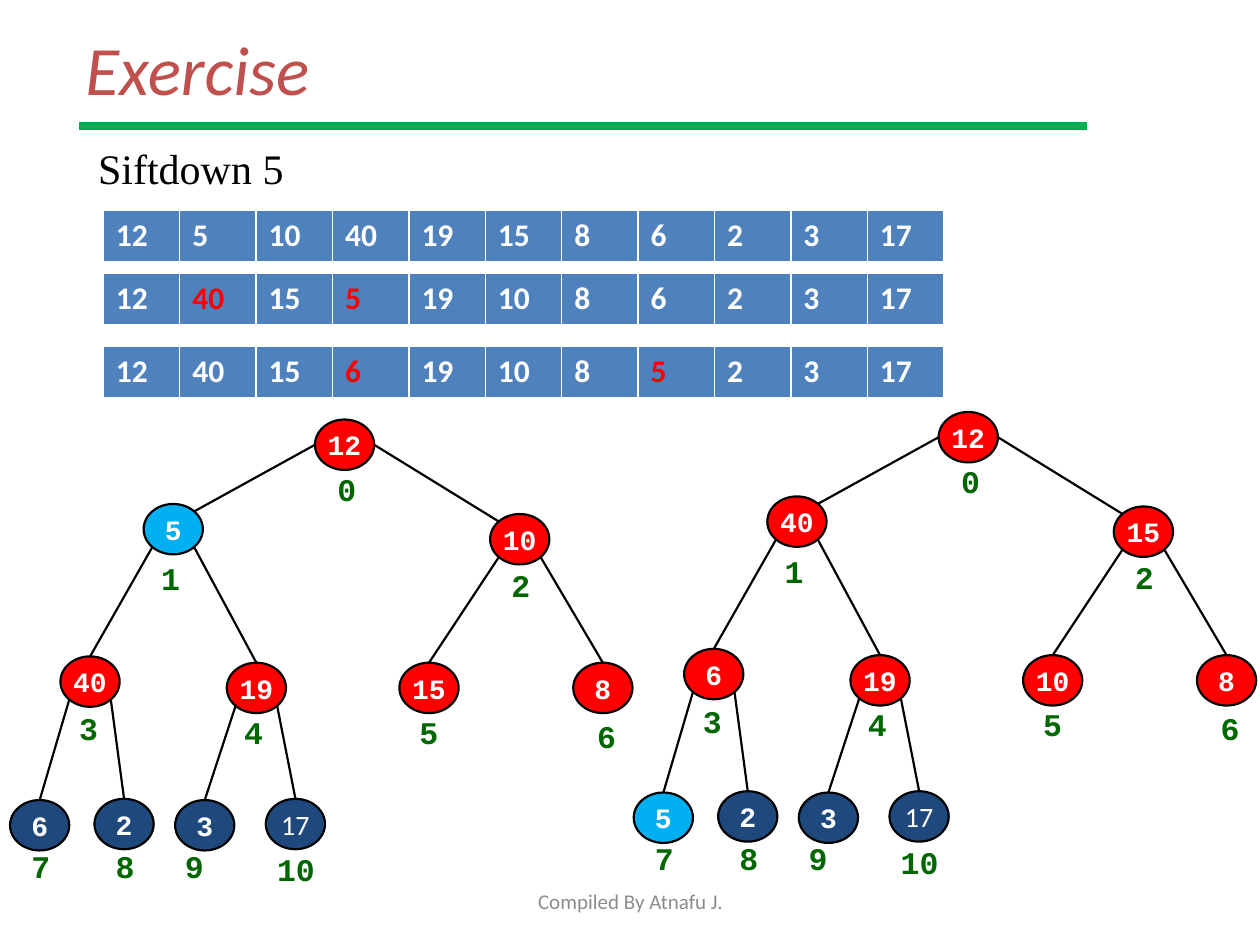
import pptx
import pptx.util
import pptx.dml.color
import pptx.enum.shapes
import pptx.enum.text
import pptx.oxml.ns
from lxml import etree

THEME = {
    "title": "C0504D", "rule": "00B050", "ink": "000000", "foot": "8C8C8C",
    "red": "FF0000", "blue": "00B0F0", "navy": "1F497D", "cell": "4F81BD",
    "white": "FFFFFF", "index": "006600",
    "sans": "Calibri", "serif": "Times New Roman", "mono": "Courier New",
    "head": 39.6, "body": 24, "label": 18, "node": 16, "small": 12,
}

# Each array: top, values, positions shown in red
ARRAYS = [
    (1.67, [12, 5, 10, 40, 19, 15, 8, 6, 2, 3, 17], ()),
    (2.17, [12, 40, 15, 5, 19, 10, 8, 6, 2, 3, 17], (1, 3)),
    (2.75, [12, 40, 15, 6, 19, 10, 8, 5, 2, 3, 17], (3, 7)),
]
# Each tree: shift right, shift down, array it shows, node being sifted
TREES = [(0, 0, 0, 1), (4.95, -0.06, 2, 7)]

# Left and top of each node and of its index label, in heap order
NODES = [(2.5, 3.33), (1.14, 4), (3.89, 4.08), (0.48, 5.21), (1.8, 5.26),
         (3.17, 5.26), (4.55, 5.26), (0.08, 6.35), (0.75, 6.34),
         (1.39, 6.35), (2.11, 6.34)]
LABELS = [(2.58, 3.68), (1.18, 4.39), (3.96, 4.44), (0.53, 5.58),
          (1.84, 5.61), (3.23, 5.61), (4.64, 5.64), (0.15, 6.67),
          (0.82, 6.67), (1.37, 6.67), (2.1, 6.7)]
NODE_W, NODE_H = 0.47, 0.4
LEAF = 7          # first index of the lowest level
NEAR = 0.15       # share of a node's box where its diagonal points lie

inch, pt = pptx.util.Inches, pptx.util.Pt
align = pptx.enum.text.PP_ALIGN
anchor = pptx.enum.text.MSO_ANCHOR

deck = pptx.Presentation()
deck.slide_width, deck.slide_height = inch(10), inch(7.5)
slide = deck.slides.add_slide(deck.slide_layouts[6])
shapes = slide.shapes


def color(name):
    return pptx.dml.color.RGBColor.from_string(THEME[name])


def write(frame, words, size, face, tint, bold=False):
    para = frame.paragraphs[0]
    para.text = str(words)
    font = para.font
    font.size, font.name, font.bold = pt(THEME[size]), THEME[face], bold
    font.color.rgb = color(tint)
    return para


def text(box, words, size, face, tint, bold=False):
    frame = shapes.add_textbox(*map(inch, box)).text_frame
    frame.word_wrap = True
    return frame, write(frame, words, size, face, tint, bold)


def line(start, end, tint="ink", width=1.25):
    rule = shapes.add_connector(pptx.enum.shapes.MSO_CONNECTOR.STRAIGHT,
                                *map(inch, start + end))
    rule.line.color.rgb = color(tint)
    rule.line.width = pt(width)
    etree.SubElement(rule._element.spPr, pptx.oxml.ns.qn("a:effectLst"))


def array(top, values, marked):
    grid = shapes.add_table(1, len(values), inch(0.82), inch(top),
                            inch(6.67), inch(0.41)).table
    for i, value in enumerate(values):
        cell = grid.cell(0, i)
        cell.fill.solid()
        cell.fill.fore_color.rgb = color("cell")
        write(cell.text_frame, value, "label", "sans",
              "red" if i in marked else "white", True)


def edge(places, child):
    """Join a node to its parent; the root's edges leave from its sides."""
    up = (child - 1) // 2
    left = child % 2 == 1
    (px, py), (cx, cy) = places[up], places[child]
    if up == 0:
        start = (px if left else px + NODE_W, py + NODE_H / 2)
        share = 1 - NEAR if left else NEAR
        end = (cx + NODE_W * share, cy + NODE_H * NEAR)
    else:
        share = NEAR if left else 1 - NEAR
        start = (px + NODE_W * share, py + NODE_H * (1 - NEAR))
        end = (cx + NODE_W / 2, cy)
    line(start, end)


def node(place, value, tint, plain):
    oval = shapes.add_shape(pptx.enum.shapes.MSO_SHAPE.OVAL,
                            *map(inch, place + (NODE_W, NODE_H)))
    oval.shadow.inherit = False
    oval.fill.solid()
    oval.fill.fore_color.rgb = color(tint)
    oval.line.color.rgb = color("ink")
    oval.line.width = pt(1.25)
    frame = oval.text_frame
    frame.word_wrap = False
    frame.vertical_anchor = anchor.MIDDLE
    para = write(frame, value, "node", "sans" if plain else "mono",
                 "white", not plain)
    para.alignment = align.CENTER


def tree(dx, dy, values, sifted):
    places = [(x + dx, y + dy) for x, y in NODES]
    last = len(values) - 1
    for child in range(1, len(values)):
        edge(places, child)
    for i, value in enumerate(values):
        tint = "blue" if i == sifted else "navy" if i >= LEAF else "red"
        node(places[i], value, tint, i == last)
    for i, (x, y) in enumerate(LABELS):
        box = (x + dx, y + dy, 0.55 if i == last else 0.33, 0.4)
        frame, para = text(box, i, "label", "mono", "index", True)
        frame.auto_size = pptx.enum.text.MSO_AUTO_SIZE.SHAPE_TO_FIT_TEXT
        para.space_before = pt(THEME["label"] / 2)


frame, para = text((0.58, 0.33, 9, 0.42), "Exercise", "head", "sans", "title")
frame.vertical_anchor = anchor.MIDDLE
para.font.italic = True

frame, para = text((0.68, 1.08, 8.5, 5.92), "Siftdown 5",
                   "body", "serif", "ink")
para.space_before = pt(THEME["body"] / 5)

line((0.63, 1), (8.63, 1), "rule", 4.25)

frame, para = text((3.42, 6.95, 3.17, 0.4), "Compiled By Atnafu J.",
                   "small", "sans", "foot")
frame.vertical_anchor = anchor.MIDDLE
para.alignment = align.CENTER

for top, values, marked in ARRAYS:
    array(top, values, marked)
for dx, dy, which, sifted in TREES:
    tree(dx, dy, ARRAYS[which][1], sifted)

deck.save("out.pptx")
